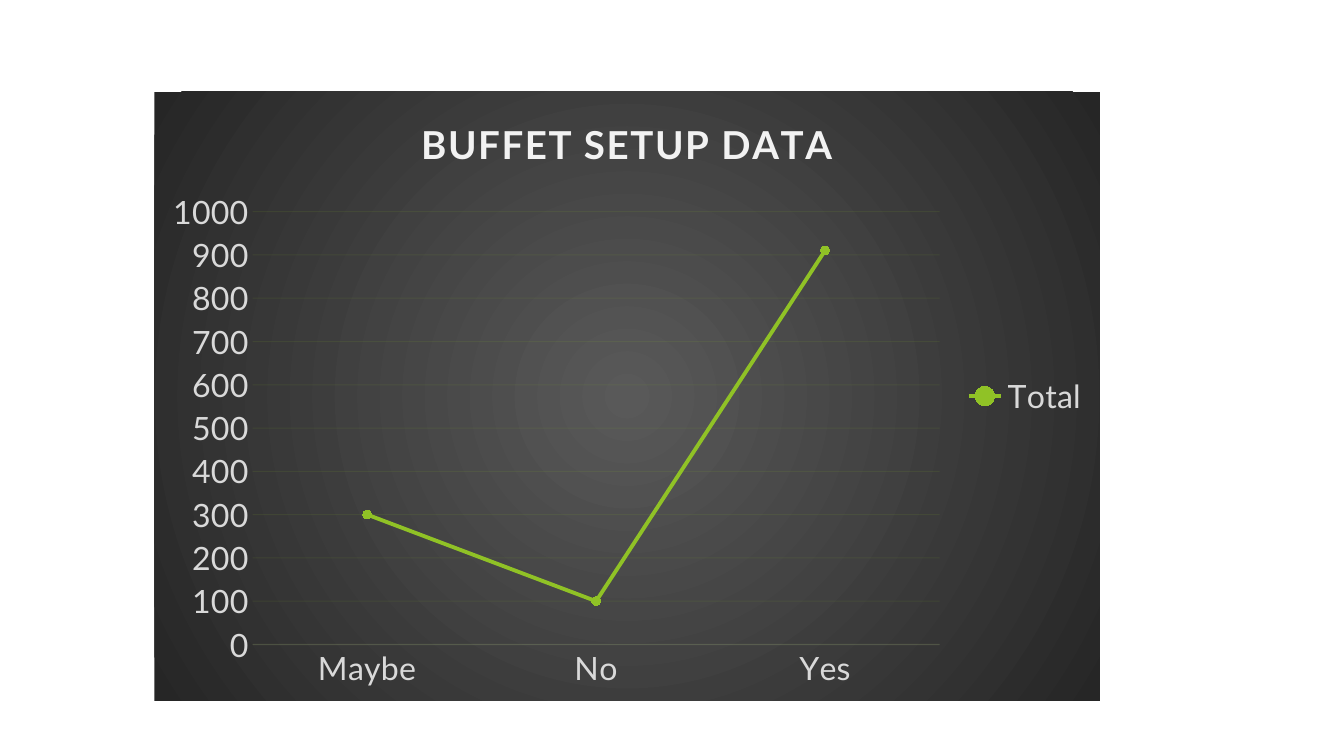
import lxml.etree
import pptx
import pptx.chart.data
import pptx.dml.color
import pptx.enum.chart
import pptx.oxml
import pptx.oxml.ns
import pptx.util

FONT = "Lato"
TEXT_SIZE = 22.9
GREEN = "90C226"
LIGHT = "F2F2F2"
GREY = "D9D9D9"
GLOW, EDGE = "595959", "262626"
ANSWERS = {"Maybe": 300, "No": 100, "Yes": 910}


def rgb(color):
    return pptx.dml.color.RGBColor.from_string(color)


def style_font(font, size, color, bold=False):
    font.name = FONT
    font.size = pptx.util.Pt(size)
    font.bold = bold
    font.color.rgb = rgb(color)


def draw_line(line, color, width, opacity=100):
    line.color.rgb = rgb(color)
    line.width = pptx.util.Pt(width)
    if opacity < 100:
        tag = pptx.oxml.ns.qn("a:srgbClr")
        for node in line._get_or_add_ln().iter(tag):
            alpha = lxml.etree.SubElement(node, pptx.oxml.ns.qn("a:alpha"))
            alpha.set("val", str(opacity * 1000))


def fill_radial(chart, center, edge):
    """Fill the chart area with a gradient from its center outwards."""
    area = pptx.oxml.parse_xml(
        f'<c:spPr {pptx.oxml.ns.nsdecls("c", "a")}><a:gradFill><a:gsLst>'
        f'<a:gs pos="0"><a:srgbClr val="{center}"/></a:gs>'
        f'<a:gs pos="100000"><a:srgbClr val="{edge}"/></a:gs></a:gsLst>'
        '<a:path path="circle">'
        '<a:fillToRect l="50000" t="50000" r="50000" b="50000"/></a:path>'
        '</a:gradFill><a:ln><a:noFill/></a:ln></c:spPr>'
    )
    chart._chartSpace.find(pptx.oxml.ns.qn("c:chart")).addnext(area)


def add_title(chart, text):
    chart.has_title = True
    chart.chart_title.include_in_layout = False
    span = chart.chart_title.text_frame.paragraphs[0].add_run()
    span.text = text
    style_font(span.font, 27.5, LIGHT, bold=True)
    span._r.get_or_add_rPr().set("spc", "100")


def style_axes(chart):
    for axis in (chart.category_axis, chart.value_axis):
        axis.major_tick_mark = pptx.enum.chart.XL_TICK_MARK.NONE
        axis.minor_tick_mark = pptx.enum.chart.XL_TICK_MARK.NONE
        style_font(axis.tick_labels.font, TEXT_SIZE, GREY)
    draw_line(chart.category_axis.format.line, LIGHT, 0.75, 10)
    scale = chart.value_axis
    scale.minimum_scale, scale.maximum_scale, scale.major_unit = 0, 1000, 100
    scale.format.line.fill.background()
    scale.has_major_gridlines = True
    draw_line(scale.major_gridlines.format.line, GREEN, 0.75, 10)


def style_series(series):
    series.smooth = False
    draw_line(series.format.line, GREEN, 2.75)
    marker = series.marker
    marker.style = pptx.enum.chart.XL_MARKER_STYLE.CIRCLE
    marker.size = 6
    marker.format.fill.solid()
    marker.format.fill.fore_color.rgb = rgb("93CA1E")
    marker.format.line.fill.background()


def add_answer_chart(page, box):
    data = pptx.chart.data.CategoryChartData()
    data.categories = list(ANSWERS)
    data.add_series("Total", list(ANSWERS.values()))
    kind = pptx.enum.chart.XL_CHART_TYPE.LINE_MARKERS
    chart = page.shapes.add_chart(kind, *box, data).chart
    style_font(chart.font, TEXT_SIZE, GREY)
    fill_radial(chart, GLOW, EDGE)
    add_title(chart, "BUFFET SETUP DATA")
    style_axes(chart)
    chart.plots[0].vary_by_categories = False
    style_series(chart.plots[0].series[0])

    # Legend
    chart.has_legend = True
    chart.legend.position = pptx.enum.chart.XL_LEGEND_POSITION.RIGHT
    chart.legend.include_in_layout = False
    style_font(chart.legend.font, TEXT_SIZE, GREY)


def main():
    deck = pptx.Presentation()
    deck.slide_width = pptx.util.Inches(13.33)
    deck.slide_height = pptx.util.Inches(7.5)
    page = deck.slides.add_slide(deck.slide_layouts[6])
    box = [pptx.util.Inches(length) for length in (1.53, 0.91, 9.38, 6.04)]
    add_answer_chart(page, box)
    deck.save("out.pptx")


if __name__ == "__main__":
    main()
